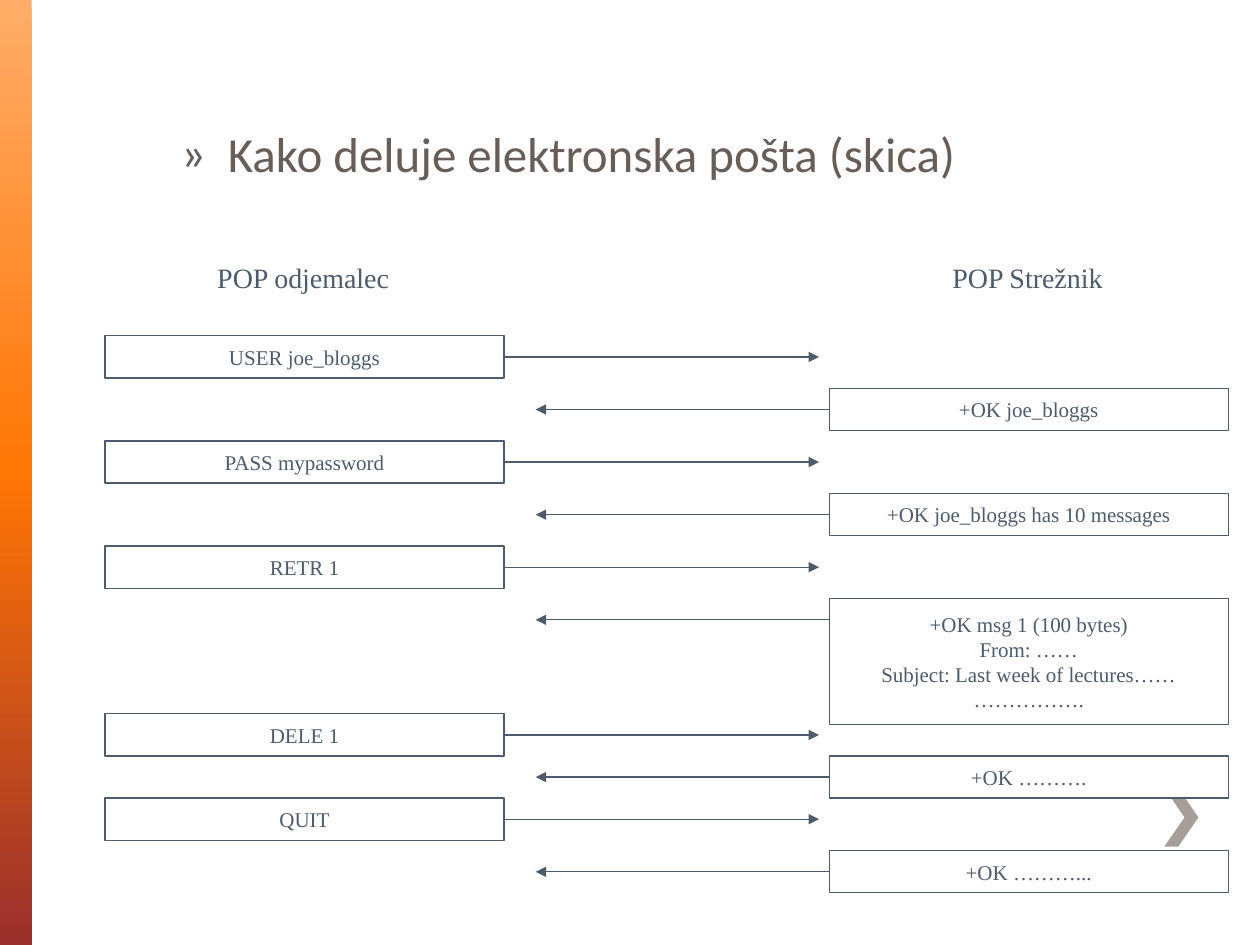
from copy import deepcopy

from lxml.etree import SubElement
from pptx import Presentation
from pptx.dml.color import RGBColor
from pptx.enum.shapes import MSO_CONNECTOR, MSO_SHAPE
from pptx.enum.text import MSO_ANCHOR, PP_ALIGN
from pptx.oxml.ns import qn
from pptx.util import Cm, Pt

INK = "4D5B6B"
SERIF = "Times New Roman"


def colour(value):
    return RGBColor.from_string(value)


def apply(target, values):
    for name, value in values.items():
        setattr(target, name, value)


class Painter:
    label_font = {"name": SERIF, "size": Pt(16)}
    box_font = {"name": SERIF, "size": Pt(12)}
    title_font = {"name": "Calibri", "size": Pt(28), "bold": False}
    line_width = Pt(0.75)

    def __init__(self, page):
        self.page = page

    def add_lines(self, frame, lines, font, ink=INK, align=PP_ALIGN.LEFT):
        for index, line in enumerate(lines):
            para = frame.paragraphs[0] if index == 0 else frame.add_paragraph()
            para.alignment = align
            span = para.add_run()
            span.text = line
            apply(span.font, font)
            span.font.color.rgb = colour(ink)

    def title(self, text, left, top, width, height):
        box = self.page.shapes.title
        apply(box, {"left": Cm(left), "top": Cm(top), "width": Cm(width), "height": Cm(height)})
        apply(box.text_frame, {"word_wrap": True, "vertical_anchor": MSO_ANCHOR.TOP})
        self.add_lines(box.text_frame, [text], self.title_font, "675D59")
        settings = box.text_frame.paragraphs[0]._p.get_or_add_pPr()
        settings.set("marL", str(Cm(0.95)))
        settings.set("indent", str(-Cm(0.95)))
        SubElement(settings, qn("a:buFont")).set("typeface", "Calibri")
        SubElement(settings, qn("a:buChar")).set("char", "»")

    def label(self, text, left, top, width, height):
        box = self.page.shapes.add_textbox(Cm(left), Cm(top), Cm(width), Cm(height))
        box.text_frame.word_wrap = False
        self.add_lines(box.text_frame, [text], self.label_font)

    def box(self, lines, left, top, width, height):
        box = self.page.shapes.add_shape(
            MSO_SHAPE.RECTANGLE, Cm(left), Cm(top), Cm(width), Cm(height))
        box.shadow.inherit = False
        box.fill.solid()
        box.fill.fore_color.rgb = colour("FFFFFF")
        box.line.color.rgb = colour(INK)
        box.line.width = self.line_width
        apply(box.text_frame, {"word_wrap": False, "vertical_anchor": MSO_ANCHOR.MIDDLE})
        self.add_lines(box.text_frame, lines, self.box_font, align=PP_ALIGN.CENTER)

    def arrow(self, start, end, height):
        arrow = self.page.shapes.add_connector(
            MSO_CONNECTOR.STRAIGHT, Cm(start), Cm(height), Cm(end), Cm(height))
        arrow.line.color.rgb = colour(INK)
        arrow.line.width = self.line_width
        properties = arrow._element.spPr
        SubElement(properties.find(qn("a:ln")), qn("a:tailEnd")).set("type", "triangle")
        SubElement(properties, qn("a:effectLst"))

    def gradient_bar(self, width, height, stops):
        bar = self.page.shapes.add_shape(MSO_SHAPE.RECTANGLE, 0, 0, Cm(width), Cm(height))
        bar.shadow.inherit = False
        bar.line.fill.background()
        bar.fill.gradient()
        bar.fill.gradient_angle = 270
        stop_list = bar._element.spPr.find(qn("a:gradFill")).find(qn("a:gsLst"))
        while len(stop_list) < len(stops):
            stop_list.append(deepcopy(stop_list[-1]))
        for stop, (position, value) in zip(bar.fill.gradient_stops, stops):
            stop.position = position
            stop.color.rgb = colour(value)

    def outline(self, points, fill):
        points = [(Cm(x), Cm(y)) for x, y in points]
        builder = self.page.shapes.build_freeform(*points[0])
        builder.add_line_segments(points[1:], close=True)
        shape = builder.convert_to_shape()
        shape.shadow.inherit = False
        shape.fill.solid()
        shape.fill.fore_color.rgb = colour(fill)
        shape.line.fill.background()


deck = Presentation()
apply(deck, {"slide_width": Cm(25.4), "slide_height": Cm(19.05)})
painter = Painter(deck.slides.add_slide(deck.slide_layouts[5]))

painter.gradient_bar(0.64, 19.05, [(0, "FFAD69"), (0.5, "FF7605"), (1, "9A2F2C")])
painter.outline([(23.75, 15.88), (23.47, 15.88), (23.88, 16.48), (23.47, 17.07),
                 (23.75, 17.07), (24.16, 16.48)], "A79D99")
painter.title("Kako deluje elektronska pošta (skica)", 3.39, 2.37, 20.75, 1.6)

BOX_WIDTH, BOX_HEIGHT = 8.04, 0.85
CLIENT_LEFT, SERVER_LEFT = 2.12, 16.72
CLIENT_ARROW = (CLIENT_LEFT + BOX_WIDTH, 16.51)
SERVER_ARROW = (SERVER_LEFT, 10.8)

exchanges = [
    (6.77, "USER joe_bloggs", 7.83, ["+OK joe_bloggs"]),
    (8.89, "PASS mypassword", 9.95, ["+OK joe_bloggs has 10 messages"]),
    (11.01, "RETR 1", 12.07, ["+OK msg 1 (100 bytes)", "From: ……",
                              "Subject: Last week of lectures……", "……………."]),
    (14.39, "DELE 1", 15.24, ["+OK ………."]),
    (16.09, "QUIT", 17.15, ["+OK ………..."]),
]
for request_top, request, reply_top, reply in exchanges:
    reply_height = BOX_HEIGHT if len(reply) == 1 else 2.54
    painter.arrow(*CLIENT_ARROW, request_top + BOX_HEIGHT / 2)
    painter.box([request], CLIENT_LEFT, request_top, BOX_WIDTH, BOX_HEIGHT)
    painter.box(reply, SERVER_LEFT, reply_top, BOX_WIDTH, reply_height)
    painter.arrow(*SERVER_ARROW, reply_top + BOX_HEIGHT / 2)

painter.label("POP odjemalec", 4.13, 5.13, 4.01, 0.94)
painter.label("POP Strežnik", 18.95, 5.13, 3.58, 0.94)

deck.save("out.pptx")
